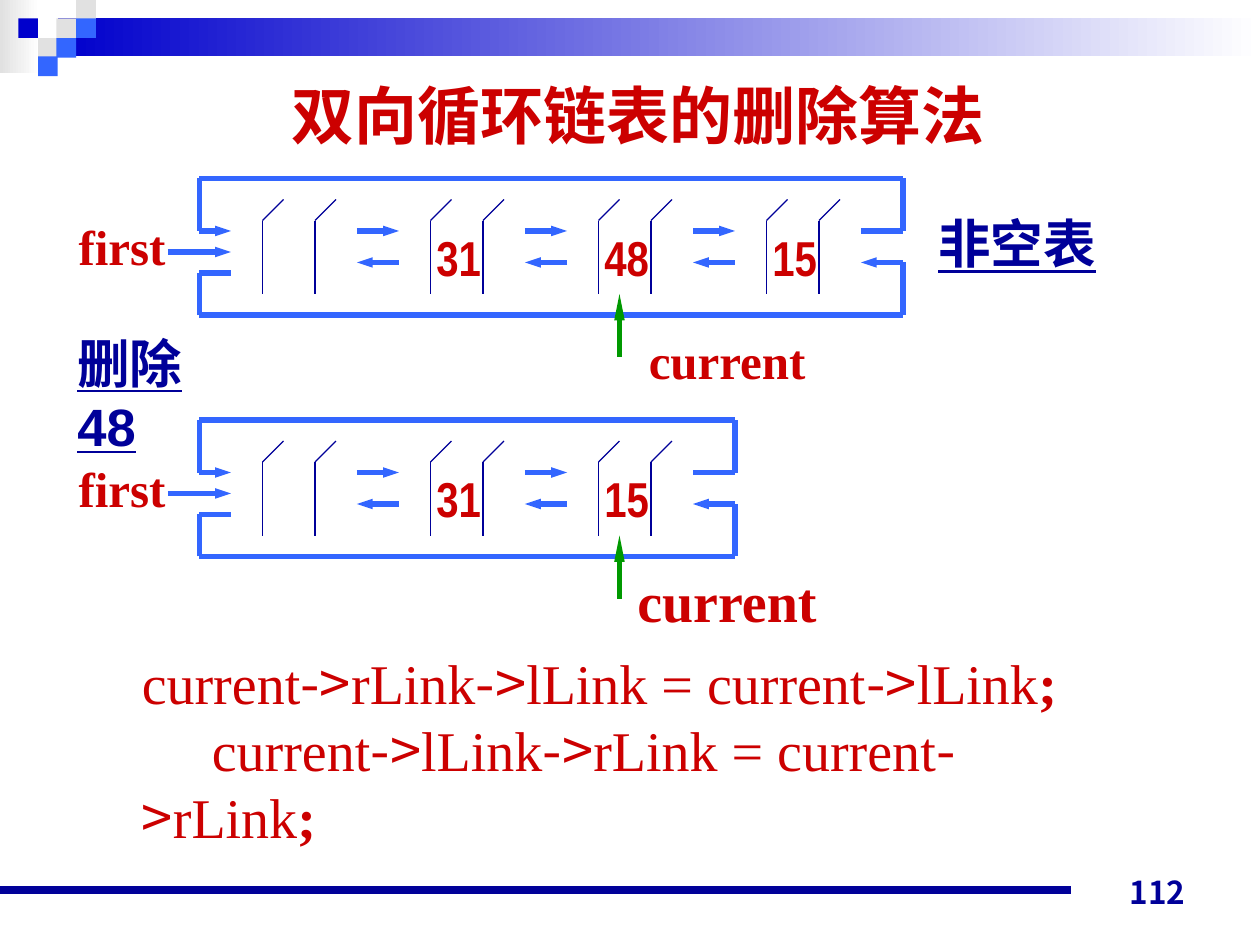
from dataclasses import dataclass
from itertools import pairwise

from lxml import etree
from pptx import Presentation
from pptx import util as u
from pptx.dml.color import RGBColor
from pptx.enum import shapes, text
from pptx.oxml.ns import qn

PX = 9525
COLORS = {
    "navy": "000099", "red": "CC0000", "blue": "3366FF", "green": "009900",
    "deep": "0000CC", "grey": "E1E1E1", "white": "FFFFFF",
}
SERIF, SANS, NARROW = "Times New Roman", "Arial", "Arial Narrow"
ARROW_FONT, PAGE_FONT = "Noto Sans CJK SC", "Noto Sans CJK JP"
MIDDLE, TOP, BOTTOM = text.MSO_ANCHOR.MIDDLE, text.MSO_ANCHOR.TOP, text.MSO_ANCHOR.BOTTOM
LEFT, CENTER, RIGHT = text.PP_ALIGN.LEFT, text.PP_ALIGN.CENTER, text.PP_ALIGN.RIGHT
NODE_LEFT, NODE_PITCH, DIVIDER = 200, 128, 40
LOOP_LEFT, LOOP_ENTRY = 152, 176


@dataclass
class Label:
    words: str
    x: int
    y: int
    width: int
    height: int
    size: int = 28
    font: str = SERIF
    color: str = "red"
    underline: bool = False
    anchor: text.MSO_ANCHOR = MIDDLE
    align: text.PP_ALIGN = CENTER
    inset_x: int = 9
    inset_y: int = 5
    wrap: bool = False


@dataclass
class ListRow:
    top: int
    values: tuple[str, ...]


def rgb(name: str) -> RGBColor:
    return RGBColor.from_string(COLORS[name])


def add_rect(page, x: int, y: int, width: int, height: int, color: str, fade: bool = False) -> None:
    rect = page.shapes.add_shape(
        shapes.MSO_SHAPE.RECTANGLE, x * PX, y * PX, width * PX, height * PX)
    rect.shadow.inherit = False
    rect.line.fill.background()
    if fade:
        rect.fill.gradient()
        rect.fill.gradient_angle = 0
        for stop, name in zip(rect.fill.gradient_stops, (color, "white")):
            stop.color.rgb = rgb(name)
    else:
        rect.fill.solid()
        rect.fill.fore_color.rgb = rgb(color)


def add_line(page, start: tuple[int, int], end: tuple[int, int], color: str = "blue",
             weight: float = 3, head: str = "") -> None:
    line = page.shapes.add_connector(
        shapes.MSO_CONNECTOR.STRAIGHT, *(value * PX for value in start + end))
    line.line.color.rgb = rgb(color)
    line.line.width = u.Pt(weight)
    if head:
        etree.SubElement(line.line._get_or_add_ln(), qn("a:tailEnd"),
                         type="triangle", w="sm", len=head)
    etree.SubElement(line._element.spPr, qn("a:effectLst"))


def add_box(page, label: Label):
    box = page.shapes.add_textbox(
        label.x * PX, label.y * PX, label.width * PX, label.height * PX)
    frame = box.text_frame
    frame.word_wrap = label.wrap
    frame.auto_size = text.MSO_AUTO_SIZE.SHAPE_TO_FIT_TEXT
    frame.vertical_anchor = label.anchor
    frame.margin_left = frame.margin_right = label.inset_x * PX
    frame.margin_top = frame.margin_bottom = label.inset_y * PX
    return frame


def add_label(page, label: Label) -> None:
    para = add_box(page, label).paragraphs[0]
    para.text = label.words
    para.alignment = label.align
    font = para.font
    font.name, font.size, font.bold = label.font, u.Pt(label.size), True
    font.color.rgb = rgb(label.color)
    if label.underline:
        font.underline = True


def add_path(page, points: list[tuple[int, int]]) -> None:
    for start, end in pairwise(points):
        add_line(page, start, end)


def add_list_row(page, row: ListRow) -> None:
    top = row.top
    forward, entry, backward, back_entry, bottom = (
        top + step for step in (40, 56, 64, 72, 104))
    for index, value in enumerate(row.values):
        left = NODE_LEFT + index * NODE_PITCH
        for x in (left, left + DIVIDER):
            add_line(page, (x, top + 32), (x, top + 88), "navy", 0.75)
            add_line(page, (x, top + 32), (x + 16, top + 16), "navy", 0.75)
        link_start, link_end = left + 72, left + 104
        last = index == len(row.values) - 1
        add_line(page, (link_start, forward), (link_end, forward), head="" if last else "med")
        add_line(page, (link_end, backward), (link_start, backward), head="med")
        if value:
            add_label(page, Label(value, left - 6, top + 32, 55, 55, font=NARROW))
    add_path(page, [(link_end, forward), (link_end, top), (LOOP_LEFT, top), (LOOP_LEFT, forward)])
    add_path(page, [(link_end, backward), (link_end, bottom), (LOOP_LEFT, bottom),
                    (LOOP_LEFT, back_entry), (LOOP_ENTRY, back_entry)])
    add_line(page, (LOOP_LEFT, forward), (LOOP_ENTRY, forward), head="med")
    add_line(page, (128, entry), (LOOP_ENTRY, entry), head="med")
    add_line(page, (472, top + 136), (472, top + 88), "green", head="lg")
    add_label(page, Label("first", 50, top + 24, 86, 55))


def add_code(page, lines: tuple[str, ...]) -> None:
    frame = add_box(page, Label("", 96, 488, 749, 114, anchor=TOP,
                                inset_x=12, inset_y=6, wrap=True))
    for index, line in enumerate(lines):
        para = frame.add_paragraph() if index else frame.paragraphs[0]
        para.line_spacing = u.Pt(38.3)
        para.font.size = u.Pt(32)
        para.font.color.rgb = rgb("red")
        spans = []
        for part in line.split("->"):
            spans += [("->", ARROW_FONT, False), (part, SERIF, False)]
        for words, name, bold in spans[1:] + [(";", SERIF, True)]:
            span = para.add_run()
            span.text, span.font.name, span.font.bold = words, name, bold


def add_header(page) -> None:
    add_rect(page, 0, 0, 30, 56, "grey", fade=True)
    add_rect(page, 44, 14, 916, 29, "deep", fade=True)
    columns, rows = (14, 29, 43, 58), (0, 14, 29, 43)
    squares = [(2, 1, "grey"), (3, 0, "grey"), (3, 1, "blue"), (1, 2, "grey"),
               (0, 1, "deep"), (2, 2, "blue"), (1, 3, "blue")]
    for column, row, color in squares:
        add_rect(page, columns[column], rows[row], 15, 15, color)


LABELS = [
    Label("112", 688, 651, 224, 48, 18, PAGE_FONT, "navy", anchor=BOTTOM, align=RIGHT, wrap=True),
    Label("双向循环链表的删除算法", 173, 52, 626, 70, 36, anchor=TOP,
          inset_x=12, inset_y=6, wrap=True),
    Label("删除48", 48, 246, 146, 60, 30, SANS, "navy", True, TOP, LEFT, 11, 6, True),
    Label("非空表", 704, 155, 146, 60, 30, SERIF, "navy", True, TOP, LEFT, 11, 6),
    Label("current", 484, 247, 140, 55),
    Label("current", 475, 427, 158, 60, 32),
]
LIST_ROWS = [ListRow(136, ("", "31", "48", "15")), ListRow(320, ("", "31", "15"))]
CODE = (
    "current->rLink->lLink = current->lLink",
    "     current->lLink->rLink = current->rLink",
)


def main() -> None:
    deck = Presentation()
    deck.slide_width, deck.slide_height = 960 * PX, 720 * PX
    page = deck.slides.add_slide(deck.slide_layouts[6])
    add_header(page)
    add_line(page, (0, 678), (816, 678), "navy", 4.5)
    for row in LIST_ROWS:
        add_list_row(page, row)
    for label in LABELS:
        add_label(page, label)
    add_code(page, CODE)
    deck.save("out.pptx")


if __name__ == "__main__":
    main()
